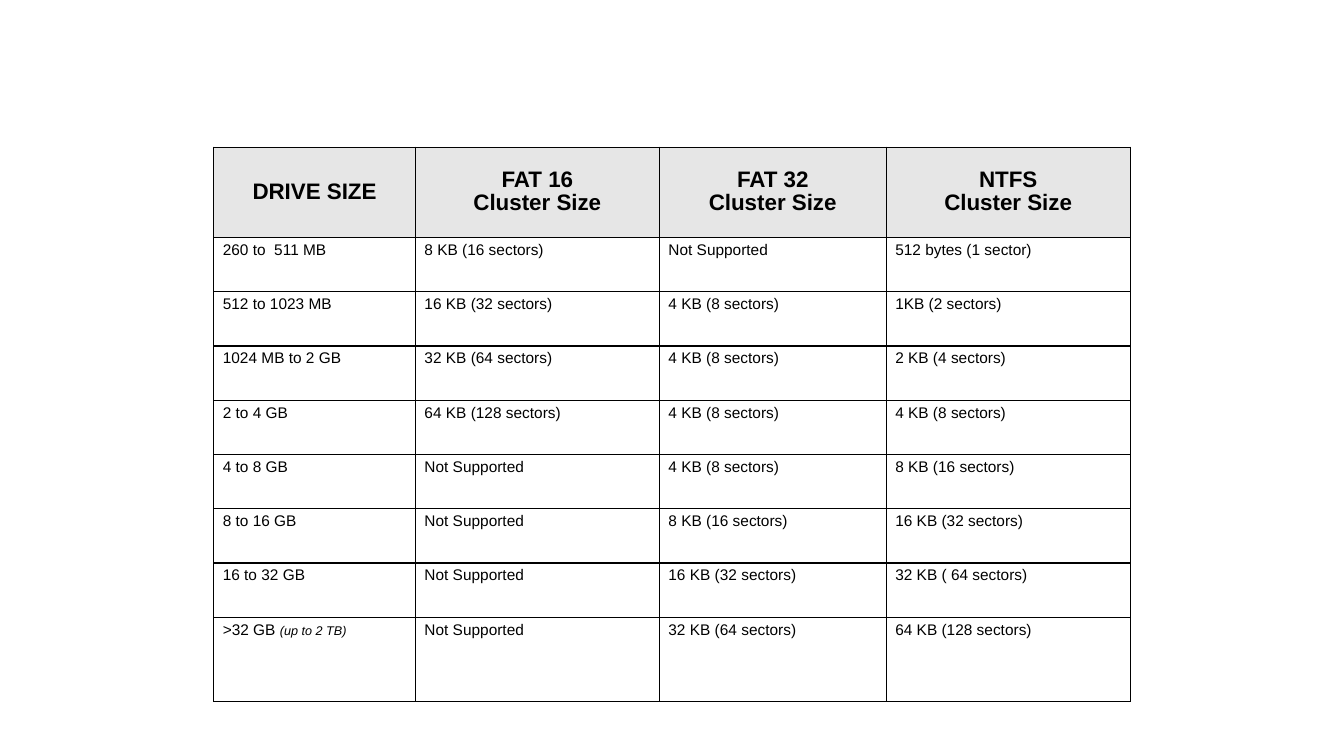
import pptx
import pptx.dml.color
import pptx.enum.text
import pptx.oxml
import pptx.oxml.ns
import pptx.util
from dataclasses import dataclass


@dataclass(frozen=True)
class Theme:
    font: str = "Arial"
    ink: str = "000000"
    header_fill: str = "E6E6E6"
    header_size: int = 16
    body_size: int = 11
    note_size: int = 9
    border: int = 1
    line_spacing: float = 0.93


THEME = Theme()
SLIDE_SIZE = (13.33, 7.5)
TABLE_BOX = (2.12, 1.46, 9.09, 5.5)
COLUMN_SHARES = [2, 2.42, 2.25, 2.42]
ROW_SHARES = [5] + [3] * 7 + [4.65]

HEADINGS = ["DRIVE SIZE", "FAT 16\nCluster Size", "FAT 32\nCluster Size", "NTFS\nCluster Size"]
CLUSTER_SIZES = [
    ["260 to  511 MB", "8 KB (16 sectors)", "Not Supported", "512 bytes (1 sector)"],
    ["512 to 1023 MB", "16 KB (32 sectors)", "4 KB (8 sectors)", "1KB (2 sectors)"],
    ["1024 MB to 2 GB", "32 KB (64 sectors)", "4 KB (8 sectors)", "2 KB (4 sectors)"],
    ["2 to 4 GB", "64 KB (128 sectors)", "4 KB (8 sectors)", "4 KB (8 sectors)"],
    ["4 to 8 GB", "Not Supported", "4 KB (8 sectors)", "8 KB (16 sectors)"],
    ["8 to 16 GB", "Not Supported", "8 KB (16 sectors)", "16 KB (32 sectors)"],
    ["16 to 32 GB", "Not Supported", "16 KB (32 sectors)", "32 KB ( 64 sectors)"],
    [">32 GB ", "Not Supported", "32 KB (64 sectors)", "64 KB (128 sectors)"],
]
LARGEST_DRIVE_NOTE = "(up to 2 TB)"


def format_run(run, size, bold=False, italic=False):
    run.font.name = THEME.font
    run.font.size = pptx.util.Pt(size)
    run.font.bold = bold
    run.font.italic = italic
    run.font.color.rgb = pptx.dml.color.RGBColor.from_string(THEME.ink)


def draw_borders(cell):
    properties = cell._tc.get_or_add_tcPr()
    for position, side in enumerate(("lnL", "lnR", "lnT", "lnB")):
        line = pptx.oxml.parse_xml(
            f'<a:{side} {pptx.oxml.ns.nsdecls("a")} w="{pptx.util.Pt(THEME.border)}">'
            f'<a:solidFill><a:srgbClr val="{THEME.ink}"/></a:solidFill></a:{side}>'
        )
        properties.insert(position, line)


def fill_cell(cell, wording, is_heading):
    cell.text_frame.text = wording
    cell.margin_left = cell.margin_right = pptx.util.Inches(0.09)
    cell.margin_top = cell.margin_bottom = pptx.util.Inches(0.05)
    if is_heading:
        cell.vertical_anchor = pptx.enum.text.MSO_ANCHOR.MIDDLE
        cell.fill.solid()
        cell.fill.fore_color.rgb = pptx.dml.color.RGBColor.from_string(THEME.header_fill)
    else:
        cell.vertical_anchor = pptx.enum.text.MSO_ANCHOR.TOP
        cell.fill.background()
    for paragraph in cell.text_frame.paragraphs:
        paragraph.line_spacing = THEME.line_spacing
        if is_heading:
            paragraph.alignment = pptx.enum.text.PP_ALIGN.CENTER
        for run in paragraph.runs:
            format_run(run, THEME.header_size if is_heading else THEME.body_size, bold=is_heading)
    draw_borders(cell)


def share_out(tracks, shares, attribute, total):
    for track, share in zip(tracks, shares):
        setattr(track, attribute, pptx.util.Inches(total * share / sum(shares)))


def add_cluster_table(slide, box):
    lines = [HEADINGS] + CLUSTER_SIZES
    frame = slide.shapes.add_table(len(lines), len(HEADINGS), *map(pptx.util.Inches, box))
    clusters = frame.table
    clusters.horz_banding = False

    # Column and row proportions
    share_out(clusters.columns, COLUMN_SHARES, "width", box[2])
    share_out(clusters.rows, ROW_SHARES, "height", box[3])

    # Headings and cluster sizes
    for row, wordings in enumerate(lines):
        for column, wording in enumerate(wordings):
            fill_cell(clusters.cell(row, column), wording, row == 0)

    # Small note beside the largest drive size
    largest_drive = clusters.cell(len(lines) - 1, 0).text_frame.paragraphs[0]
    note = largest_drive.add_run()
    note.text = LARGEST_DRIVE_NOTE
    format_run(note, THEME.note_size, italic=True)


def main():
    deck = pptx.Presentation()
    deck.slide_width, deck.slide_height = map(pptx.util.Inches, SLIDE_SIZE)
    slide = deck.slides.add_slide(deck.slide_layouts[6])
    add_cluster_table(slide, TABLE_BOX)
    deck.save("out.pptx")


if __name__ == "__main__":
    main()
